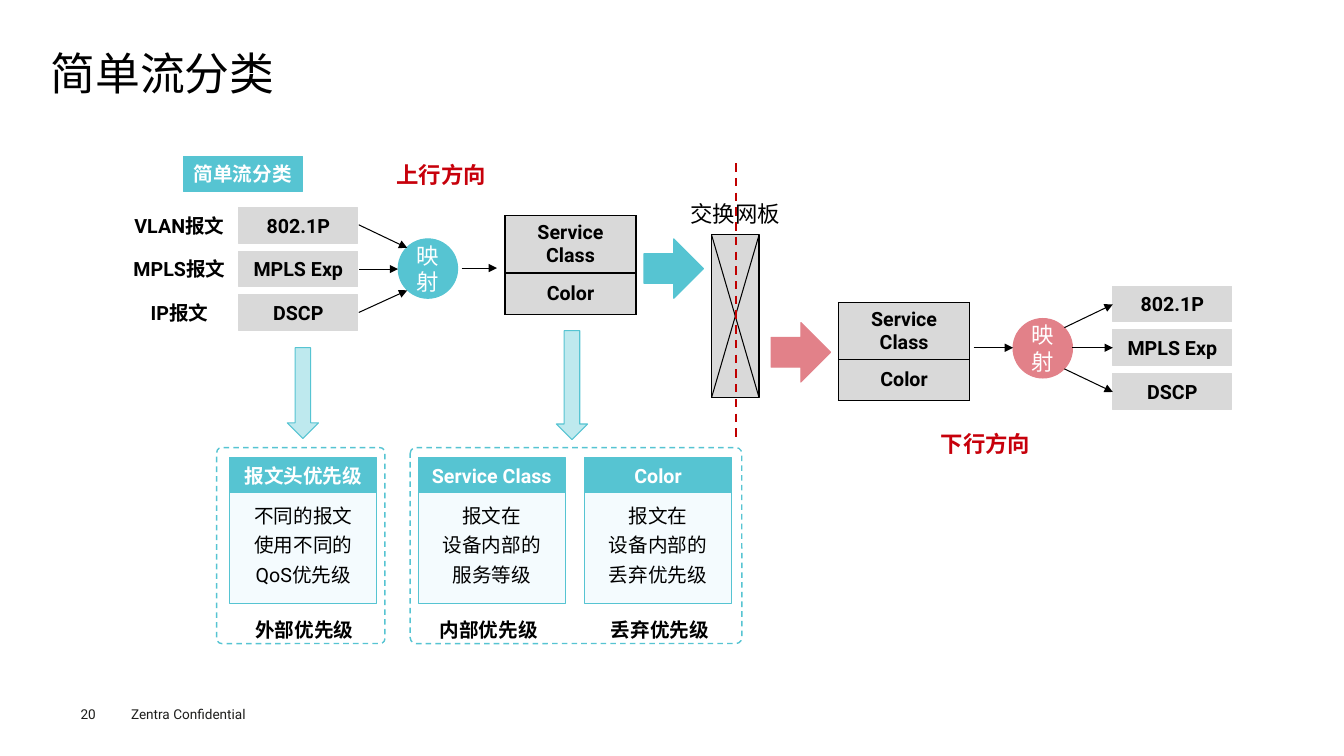
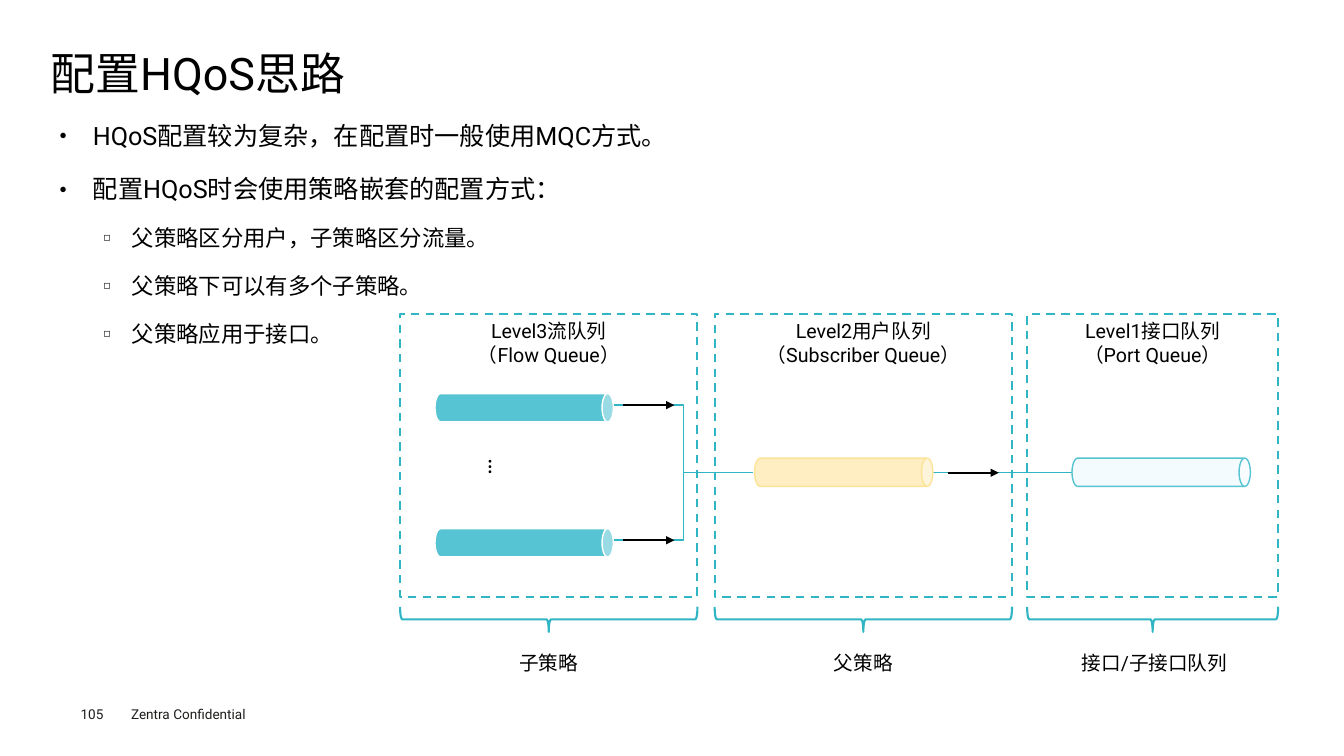
from lxml import etree
from pptx import Presentation
from pptx.dml.color import RGBColor
from pptx.enum.dml import MSO_LINE
from pptx.enum.shapes import MSO_CONNECTOR, MSO_SHAPE
from pptx.enum.text import MSO_ANCHOR, MSO_AUTO_SIZE, PP_ALIGN
from pptx.oxml.ns import qn
from pptx.util import Pt

FONT = "Roboto"
BLACK = RGBColor(0x00, 0x00, 0x00)
WHITE = RGBColor(0xFF, 0xFF, 0xFF)
INK = RGBColor(0x1D, 0x1D, 0x1B)
GREY = RGBColor(0xD9, 0xD9, 0xD9)
TEAL = RGBColor(0x56, 0xC4, 0xD2)
DEEP_TEAL = RGBColor(0x30, 0xB5, 0xC5)
PALE_TEAL = RGBColor(0xBE, 0xE9, 0xEE)
ICE = RGBColor(0xF4, 0xFB, 0xFE)
PINK = RGBColor(0xE2, 0x81, 0x89)
RED = RGBColor(0xC7, 0x00, 0x0B)
DARK_RED = RGBColor(0xC0, 0x00, 0x00)
CREAM = RGBColor(0xFE, 0xEE, 0xC1)
YELLOW = RGBColor(0xFD, 0xE3, 0x97)

RECT, ROUND, OVAL = MSO_SHAPE.RECTANGLE, MSO_SHAPE.ROUNDED_RECTANGLE, MSO_SHAPE.OVAL
RIGHT, DOWN = MSO_SHAPE.RIGHT_ARROW, MSO_SHAPE.DOWN_ARROW
CAN, BRACE = MSO_SHAPE.CAN, MSO_SHAPE.LEFT_BRACE
STRAIGHT, ELBOW = MSO_CONNECTOR.STRAIGHT, MSO_CONNECTOR.ELBOW
DASH = MSO_LINE.DASH
TOP, MIDDLE = MSO_ANCHOR.TOP, MSO_ANCHOR.MIDDLE
LEFT, CENTER, JUSTIFY = PP_ALIGN.LEFT, PP_ALIGN.CENTER, PP_ALIGN.JUSTIFY


def add_box(s, kind, x, y, w, h, text="", fill=None, line=None, width=0.75, dash=None,
            size=14, color=BLACK, bold=False, align=CENTER, anchor=MIDDLE,
            top=0, bottom=0, spacing=None):
    """Add a preset shape, or a text box when kind is None."""
    if kind is None:
        sp = s.shapes.add_textbox(Pt(x), Pt(y), Pt(w), Pt(h))
    else:
        sp = s.shapes.add_shape(kind, Pt(x), Pt(y), Pt(w), Pt(h))
        sp.shadow.inherit = False
        if fill is None:
            sp.fill.background()
        else:
            sp.fill.solid()
            sp.fill.fore_color.rgb = fill
        sp.line.color.rgb = fill if line is None else line
        sp.line.width = Pt(width)
        if dash:
            sp.line.dash_style = dash
    if text:
        tf = sp.text_frame
        tf.word_wrap = True
        tf.vertical_anchor = anchor
        tf.margin_left = tf.margin_right = 0
        tf.margin_top, tf.margin_bottom = Pt(top), Pt(bottom)
        for i, row in enumerate(text.split("\n")):
            p = tf.paragraphs[0] if i == 0 else tf.add_paragraph()
            p.alignment = align
            if spacing:
                p.line_spacing = spacing
            r = p.add_run()
            r.text = row
            r.font.name, r.font.size, r.font.bold = FONT, Pt(size), bold
            r.font.color.rgb = color
    return sp


def add_line(s, x1, y1, x2, y2, color=BLACK, width=0.75, arrow=False, dash=None, kind=STRAIGHT):
    c = s.shapes.add_connector(kind, Pt(x1), Pt(y1), Pt(x2), Pt(y2))
    c.line.color.rgb = color
    c.line.width = Pt(width)
    if dash:
        c.line.dash_style = dash
    if arrow:
        etree.SubElement(c.line._get_or_add_ln(), qn("a:tailEnd"), type="triangle")
    etree.SubElement(c._element.spPr, qn("a:effectLst"))


prs = Presentation()
prs.slide_width, prs.slide_height = Pt(960), Pt(540)

# Title and footer of every slide
for layout, title, number in ((5, "简单流分类", "20"), (1, "配置HQoS思路", "105")):
    s = prs.slides.add_slide(prs.slide_layouts[layout])
    sp = s.shapes.title
    sp.left, sp.top, sp.width, sp.height = Pt(36), Pt(35.3), Pt(886), Pt(38)
    tf = sp.text_frame
    tf.auto_size = MSO_AUTO_SIZE.NONE
    tf.vertical_anchor = MIDDLE
    tf.margin_left = tf.margin_right = tf.margin_top = tf.margin_bottom = 0
    p = tf.paragraphs[0]
    p.alignment, p.line_spacing = LEFT, 0.9
    r = p.add_run()
    r.text = title
    r.font.name, r.font.size = FONT, Pt(32)
    r.font.color.rgb = BLACK
    for x, w, text in ((57.6, 36, number), (93.6, 110, "Zentra Confidential")):
        add_box(s, None, x, 504, w, 12, text, size=9.7, color=INK, align=LEFT, anchor=TOP)

# ---- Slide 1: simple traffic classification ----
s = prs.slides[0]

# Packet fields on both sides
FIELD_W, FIELD_H, FIELD_STEP = 85, 25.3, 31.2
for x, y in ((170.6, 148.3), (794.9, 204.5)):
    for i, field in enumerate(("802.1P", "MPLS Exp", "DSCP")):
        add_box(s, RECT, x, y + i * FIELD_STEP, FIELD_W, FIELD_H, field, fill=GREY, bold=True)
for i, packet in enumerate(("VLAN报文", "MPLS报文", "IP报文")):
    add_box(s, None, 85.7, 148.3 + i * FIELD_STEP, FIELD_W, FIELD_H, packet, bold=True)
add_box(s, RECT, 131, 111.6, FIELD_W, FIELD_H, "简单流分类", fill=TEAL, color=WHITE, bold=True)

# Mapping circles, block arrows and flow arrows
for color, cx, cy, ax, ay in ((TEAL, 284.4, 170.6, 460, 170.6),
                              (PINK, 723.6, 227.5, 550.8, 230.4)):
    add_box(s, OVAL, cx, cy, 42.5, 42.5, "映射", fill=color, size=16, color=WHITE)
    add_box(s, RIGHT, ax, ay, 42.5, 42.5, fill=color)
for ends in ((256.3, 160.6, 290.9, 177.1), (256.3, 192.2, 284.4, 192.2),
             (256.3, 223.2, 290.9, 207.4), (329.8, 191.5, 355, 191.5),
             (760.3, 234, 794.9, 217.4), (766, 248.4, 794.9, 248.4),
             (760.3, 263.5, 794.9, 280), (695.5, 248.4, 723.6, 248.4)):
    add_line(s, *ends, arrow=True)

# Service Class / Color tables
for x, y in ((360.7, 154.1), (599, 216)):
    table = s.shapes.add_table(2, 1, Pt(x), Pt(y), Pt(93.6), Pt(70)).table
    for row, h, text in zip(table.rows, (40.5, 29.5), ("Service Class", "Color")):
        row.height = Pt(h)
        cell = row.cells[0]
        for side in ("L", "R", "T", "B"):
            ln = etree.SubElement(cell._tc.get_or_add_tcPr(), qn("a:ln" + side), w=str(Pt(1)))
            fill = etree.SubElement(ln, qn("a:solidFill"))
            etree.SubElement(fill, qn("a:srgbClr"), val=str(BLACK))
        cell.fill.solid()
        cell.fill.fore_color.rgb = GREY
        cell.vertical_anchor = MIDDLE
        p = cell.text_frame.paragraphs[0]
        p.alignment = CENTER
        r = p.add_run()
        r.text = text
        r.font.name, r.font.size, r.font.bold = FONT, Pt(14), True
        r.font.color.rgb = BLACK

# Switch fabric and the line between the two directions
add_box(s, RECT, 508.3, 167.8, 33.9, 116.2, fill=GREY, line=BLACK)
add_line(s, 508.3, 167.8, 542.2, 284)
add_line(s, 542.2, 167.8, 508.3, 284)
for x, y, text, color in ((486, 139, "交换网板", BLACK), (275.8, 111.6, "上行方向", RED),
                          (664.6, 303.8, "下行方向", RED)):
    add_box(s, None, x, y, 78.5, 26.6, text, size=16, color=color, bold=color == RED)
add_line(s, 525.6, 116.6, 525.6, 315.4, DARK_RED, 1.5, dash=DASH)

# Priority cards with their captions
for x, head, body, caption_x, caption in (
        (164.2, "报文头优先级", "不同的报文\n使用不同的\nQoS优先级", 175, "外部优先级"),
        (298.8, "Service Class", "报文在\n设备内部的\n服务等级", 306.7, "内部优先级"),
        (417.6, "Color", "报文在\n设备内部的\n丢弃优先级", 429, "丢弃优先级")):
    add_box(s, RECT, x, 352, 105, 79.2, body, fill=ICE, line=TEAL, bottom=8.6, spacing=1.25)
    add_box(s, RECT, x, 326.8, 105, 25.2, head, fill=TEAL, color=WHITE, bold=True)
    add_box(s, None, caption_x, 437, FIELD_W, FIELD_H, caption, bold=True)

# Down arrows and dashed frames
for x, y, h in ((205.2, 248.4, 64.8), (397.4, 236.2, 77.8)):
    add_box(s, DOWN, x, y, 22.3, h, fill=PALE_TEAL, line=TEAL)
for x, w in ((154.8, 120.2), (293, 236.9)):
    sp = add_box(s, ROUND, x, 319.7, w, 140, line=TEAL, width=1, dash=DASH)
    sp.adjustments[0] = 0.03

# ---- Slide 2: HQoS configuration ----
s = prs.slides[1]

# Bullet list
sp = s.placeholders[1]
sp.left, sp.top, sp.width, sp.height = Pt(36), Pt(74.2), Pt(886), Pt(384.5)
tf = sp.text_frame
tf.auto_size = MSO_AUTO_SIZE.NONE
tf.vertical_anchor = TOP
tf.margin_left = tf.margin_right = Pt(6.5)
tf.margin_top = tf.margin_bottom = Pt(3)
LEVELS = (("●", 18, 7.9, 23.8, -23.8, JUSTIFY), ("◻", 16, 7.2, 51.8, -20.2, LEFT))
for i, (level, text) in enumerate((
        (0, "HQoS配置较为复杂，在配置时一般使用MQC方式。"),
        (0, "配置HQoS时会使用策略嵌套的配置方式："),
        (1, "父策略区分用户，子策略区分流量。"),
        (1, "父策略下可以有多个子策略。"),
        (1, "父策略应用于接口。"))):
    bullet, size, before, margin, indent, align = LEVELS[level]
    p = tf.paragraphs[0] if i == 0 else tf.add_paragraph()
    p.level, p.alignment, p.line_spacing = level, align, 1.4
    p.space_before, p.space_after = Pt(before if i else 0), Pt(0)
    pPr = p._p.get_or_add_pPr()
    pPr.set("marL", str(Pt(margin)))
    pPr.set("indent", str(Pt(indent)))
    etree.SubElement(pPr, qn("a:buSzPct"), val="50000")
    etree.SubElement(pPr, qn("a:buChar"), char=bullet)
    r = p.add_run()
    r.text = text
    r.font.name, r.font.size = FONT, Pt(size)
    r.font.color.rgb = BLACK

# Queue levels: dashed frame and brace
for x, w, text in ((285.8, 212.4, "Level3流队列\n（Flow Queue）"),
                   (510.5, 212.4, "Level2用户队列\n（Subscriber Queue）"),
                   (733.7, 179.3, "Level1接口队列\n（Port Queue）")):
    add_box(s, RECT, x, 224.6, w, 201.6, text, line=DEEP_TEAL, width=1.5, dash=DASH,
            anchor=TOP, top=3.6)
    sp = add_box(s, BRACE, x + w / 2 - 9, 442.4 - w / 2, 18, w, line=DEEP_TEAL, width=1.5)
    sp.rotation = 270

# Policy names under the braces
for x, w, text, align in ((364, 56, "子策略", CENTER), (588.7, 56, "父策略", CENTER),
                          (772.6, 104.4, "接口/子接口队列", LEFT)):
    add_box(s, None, x, 464.6, w, 17, text, align=align, anchor=TOP)

# Links and arrows between the queues
MID_Y, FLOW_YS = 337.7, (289.4, 385.9)
for y in FLOW_YS:
    add_line(s, 438.5, y, 537.8, MID_Y, DEEP_TEAL, 1, kind=ELBOW)
add_line(s, 665.3, MID_Y, 765.4, MID_Y, DEEP_TEAL, 1)
for x, y in ((445, FLOW_YS[0]), (445, FLOW_YS[1]), (676.8, MID_Y)):
    add_line(s, x, y, x + 36.7, y, width=1.5, arrow=True)

# Queues as lying cylinders, given by their centres
CAN_W, CAN_L = 20.2, 127.4
for x, y, fill, line in ((374.4, 291.2, TEAL, WHITE), (374.4, 387.7, TEAL, WHITE),
                         (602.6, 337.3, CREAM, YELLOW), (829.4, 337.3, ICE, TEAL)):
    sp = add_box(s, CAN, x - CAN_W / 2, y - CAN_L / 2, CAN_W, CAN_L, fill=fill, line=line, width=1)
    sp.adjustments[0] = 0.4
    sp.rotation = 90
sp = add_box(s, None, 338.4, 327.6, 36, 29.5, "…", size=18)
sp.text_frame._txBody.bodyPr.set("vert", "eaVert")

prs.save("out.pptx")
